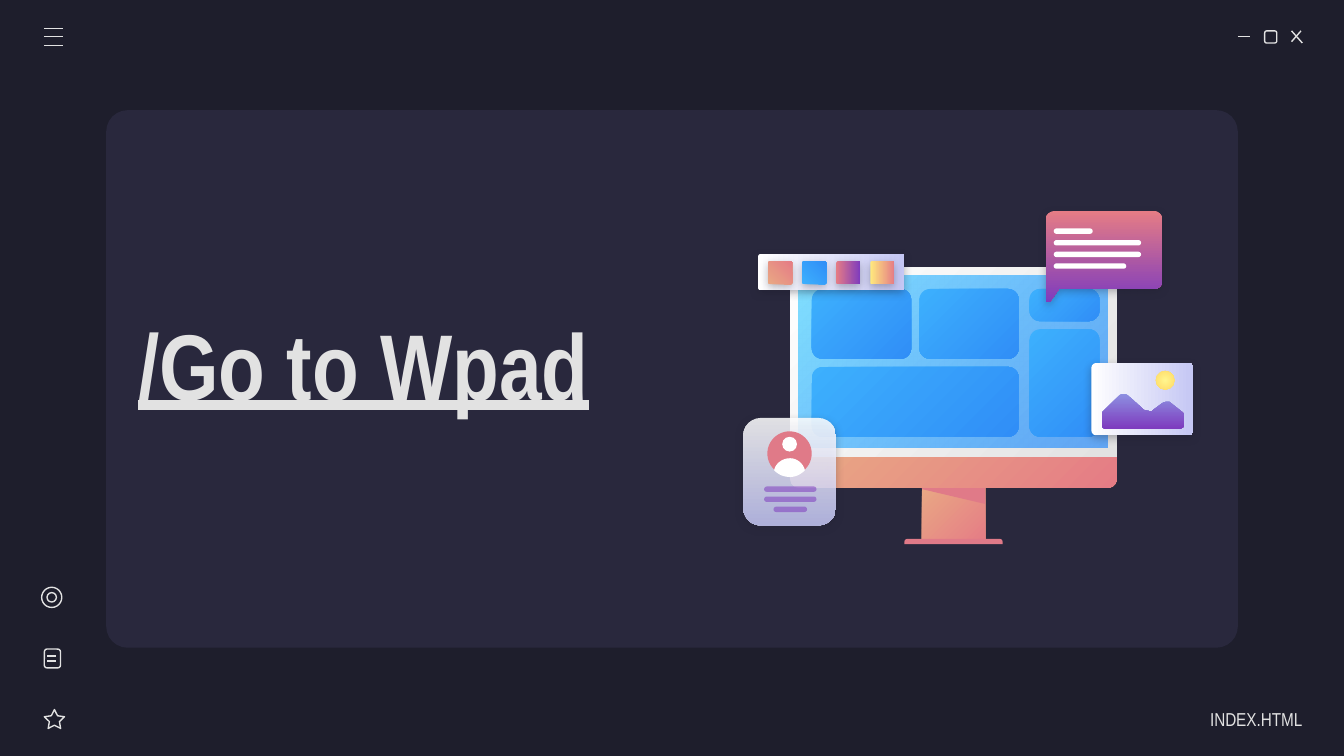
from lxml.etree import SubElement
from pptx import Presentation
from pptx.dml.color import RGBColor
from pptx.enum.shapes import MSO_CONNECTOR, MSO_SHAPE as Kind
from pptx.enum.text import MSO_ANCHOR, PP_ALIGN
from pptx.oxml.ns import qn
from pptx.util import Inches, Pt

# Colours
NIGHT = RGBColor(0x1E, 0x1E, 0x2C)
PANEL = RGBColor(0x29, 0x28, 0x3D)
PALE = RGBColor(0xE2, 0xE2, 0xE2)
WHITE = RGBColor(0xFF, 0xFF, 0xFF)
ROSE = RGBColor(0xE0, 0x7A, 0x88)
PINK = RGBColor(0xE5, 0x7C, 0x85)
PEACH = RGBColor(0xE9, 0xA9, 0x84)
PURPLE = RGBColor(0x7E, 0x3B, 0xBE)
LAVENDER = RGBColor(0xC5, 0xC7, 0xF4)
VIOLET = RGBColor(0x8D, 0x90, 0xE1)
SKY = RGBColor(0x3D, 0xB0, 0xFD)
BLUE = RGBColor(0x30, 0x8E, 0xF7)
AQUA = RGBColor(0x80, 0xDF, 0xFF)
AZURE = RGBColor(0x31, 0x8F, 0xFA)
LEMON = RGBColor(0xFF, 0xF6, 0x8E)
YELLOW = RGBColor(0xFF, 0xEA, 0x7D)
GOLD = RGBColor(0xFF, 0xD9, 0x66)

# Gradients: start, end, clockwise angle (None is radial)
CORAL = (PEACH, PINK, 45)
WATER = (SKY, BLUE, 45)
DUSK = (PINK, PURPLE, 90)
PAPER = (WHITE, LAVENDER, 90)

# Content: text, frame, size, bold and underlined, alignment, right inset
TEXTS = [
    ("/Go to Wpad", (0.93, 1.82, 4.47, 1.76), 50, True, PP_ALIGN.LEFT, 0.1),
    ("INDEX.HTML", (8.52, 5.2, 1.17, 0.3), 10, False, PP_ALIGN.RIGHT, 0),
]

# Frames are left, top, width, height; lines are x1, y1, x2, y2
WINDOW_LINES = [(9.21, 0.27, 9.3, 0.27), (9.61, 0.23, 9.69, 0.32), (9.68, 0.23, 9.61, 0.31)]
MENU_LINES = [(0.33, y, 0.47, y) for y in (0.21, 0.27, 0.34)]
NOTE_LINES = [(0.35, y, 0.42, y) for y in (4.88, 4.92)]
TILES = [(6.04, 2.15, 0.74, 0.52), (6.04, 2.73, 1.54, 0.52), (6.84, 2.15, 0.74, 0.52),
         (7.66, 2.15, 0.52, 0.24), (7.66, 2.45, 0.52, 0.8)]
TILE_RADIUS = 0.08
BUBBLE_BARS = [0.29, 0.65, 0.65, 0.54]
BADGE_BARS = [0.39, 0.39, 0.25]
SWATCHES = [CORAL, WATER, DUSK, (YELLOW, PINK, 90)]
BUBBLE_STEP, BADGE_STEP, SWATCH_STEP = 0.26 / 3, 0.15 / 2, 0.76 / 3

# Outlines: pairs are straight steps, sixes are Bezier curves
STAND = [(6.86, 3.61), (6.86, 4.04), (7.33, 4.04), (7.33, 3.61)]
STAND_SHADE = [(6.86, 3.61), (6.86, 3.64), (7.33, 3.75), (7.33, 3.61)]
BUBBLE = [(7.85, 1.57), (7.81, 1.57, 7.78, 1.6, 7.78, 1.64), (7.78, 2.24),
          (7.78, 2.25, 7.79, 2.25, 7.81, 2.25), (7.88, 2.15), (8.59, 2.15),
          (8.62, 2.15, 8.65, 2.12, 8.65, 2.09), (8.65, 1.64),
          (8.65, 1.6, 8.62, 1.57, 8.59, 1.57)]
TORSO = [(5.88, 3.41), (5.82, 3.41, 5.77, 3.45, 5.76, 3.5),
         (5.79, 3.53, 5.83, 3.55, 5.88, 3.55), (5.92, 3.55, 5.96, 3.53, 5.99, 3.5),
         (5.98, 3.45, 5.93, 3.41, 5.88, 3.41)]
HILLS = [(8.36, 2.93), (8.35, 2.93, 8.34, 2.93, 8.33, 2.94), (8.21, 3.06),
         (8.2, 3.07, 8.2, 3.07, 8.2, 3.08), (8.2, 3.16),
         (8.2, 3.18, 8.21, 3.19, 8.23, 3.19), (8.77, 3.19),
         (8.79, 3.19, 8.81, 3.18, 8.81, 3.16), (8.81, 3.09),
         (8.81, 3.08, 8.8, 3.07, 8.8, 3.07), (8.7, 2.99),
         (8.69, 2.99, 8.66, 2.99, 8.65, 3), (8.57, 3.06),
         (8.56, 3.06, 8.53, 3.06, 8.51, 3.05), (8.39, 2.94),
         (8.38, 2.93, 8.37, 2.93, 8.36, 2.93)]

# Widescreen page, 16 to 9
deck = Presentation()
deck.slide_width = Inches(10)
deck.slide_height = Inches(10 * 9 / 16)
page = deck.slides.add_slide(deck.slide_layouts[6])
page.background.fill.solid()
page.background.fill.fore_color.rgb = NIGHT


def set_alpha(color, percent):
    SubElement(color, qn("a:alpha")).set("val", str(percent * 1000))


def paint(shape, fill, alphas=(), shadow=False):
    """Give a shape its fill, opacity per colour and optional soft shadow."""
    properties = shape._element.spPr
    if fill is None:
        shape.fill.background()
    elif isinstance(fill, RGBColor):
        shape.fill.solid()
        shape.fill.fore_color.rgb = fill
    else:
        *colors, angle = fill
        shape.fill.gradient()
        for stop, color in zip(shape.fill.gradient_stops, colors):
            stop.color.rgb = color
        if angle is None:
            gradient = properties.find(qn("a:gradFill"))
            gradient.remove(gradient.find(qn("a:lin")))
            radial = SubElement(gradient, qn("a:path"))
            radial.set("path", "circle")
            center = SubElement(radial, qn("a:fillToRect"))
            for side in "ltrb":
                center.set(side, "50000")
        else:
            shape.fill.gradient_angle = 360 - angle
    for color, percent in zip(properties.iter(qn("a:srgbClr")), alphas):
        if percent < 100:
            set_alpha(color, percent)
    shape.line.fill.background()
    shape.shadow.inherit = False
    if shadow:
        outer = SubElement(properties.find(qn("a:effectLst")), qn("a:outerShdw"))
        for name, value in (("blurRad", Pt(4.5)), ("dist", Pt(1.5)), ("dir", 5400000)):
            outer.set(name, str(int(value)))
        color = SubElement(outer, qn("a:srgbClr"))
        color.set("val", str(NIGHT))
        set_alpha(color, 30)


def add_preset(kind, frame, fill, adjust=(), turn=0, **effects):
    shape = page.shapes.add_shape(kind, *map(Inches, frame))
    for index, value in enumerate(adjust):
        shape.adjustments[index] = value
    shape.rotation = turn
    paint(shape, fill, **effects)
    return shape


def add_icon(kind, frame, adjust=()):
    line = add_preset(kind, frame, None, adjust).line
    line.color.rgb, line.width = PALE, Pt(0.75)


def add_lines(lines):
    for ends in lines:
        line = page.shapes.add_connector(MSO_CONNECTOR.STRAIGHT, *map(Inches, ends))
        line.line.color.rgb, line.line.width = PALE, Pt(0.75)
        SubElement(line._element.spPr, qn("a:effectLst"))


def add_outline(steps, fill, **effects):
    points = [steps[0]]
    for step in steps[1:]:
        if len(step) == 2:
            points.append(step)
            continue
        curve = (points[-1], step[:2], step[2:4], step[4:])
        for t in (i / 8 for i in range(1, 9)):
            weights = ((1 - t) ** 3, 3 * t * (1 - t) ** 2, 3 * t * t * (1 - t), t ** 3)
            points.append(tuple(sum(w * p[axis] for w, p in zip(weights, curve))
                                for axis in (0, 1)))
    start, *rest = [(Inches(x), Inches(y)) for x, y in points]
    builder = page.shapes.build_freeform(*start)
    builder.add_line_segments(rest, close=True)
    paint(builder.convert_to_shape(), fill, **effects)


def add_text(text, frame, size, strong, align, right):
    box = page.shapes.add_textbox(*map(Inches, frame)).text_frame
    box.word_wrap, box.vertical_anchor = True, MSO_ANCHOR.MIDDLE
    box.margin_left = box.margin_top = box.margin_bottom = Inches(0.1)
    box.margin_right = Inches(right)
    para = box.paragraphs[0]
    para.text, para.alignment = text, align
    font = para.font
    font.name, font.size, font.color.rgb = "Arial Narrow", Pt(size), PALE
    if strong:
        font.bold = font.underline = True


# Panel and window buttons
add_preset(Kind.ROUNDED_RECTANGLE, (0.79, 0.82, 8.42, 4), PANEL, [0.04])
add_icon(Kind.ROUNDED_RECTANGLE, (9.41, 0.23, 0.09, 0.09))
add_lines(WINDOW_LINES + MENU_LINES)

# Monitor
add_outline(STAND, CORAL)
add_preset(Kind.ROUND_2_SAME_RECTANGLE, (6.73, 4.01, 0.73, 0.04), ROSE, [0.5, 0])
add_outline(STAND_SHADE, ROSE)
add_preset(Kind.ROUND_2_SAME_RECTANGLE, (5.88, 3.39, 2.43, 0.24), CORAL, [0, 0.27])
add_preset(Kind.ROUND_2_SAME_RECTANGLE, (5.88, 1.99, 2.43, 1.41), (WHITE, PALE, 45), [0.05, 0])
add_preset(Kind.RECTANGLE, (5.94, 2.05, 2.3, 1.28), (AQUA, AZURE, 45), alphas=(100, 72))
for tile in TILES:
    add_preset(Kind.ROUNDED_RECTANGLE, tile, WATER, [TILE_RADIUS / min(tile[2:])])

# Speech bubble
add_outline(BUBBLE, DUSK, shadow=True)
for row, width in enumerate(BUBBLE_BARS):
    add_preset(Kind.ROUNDED_RECTANGLE, (7.84, 1.7 + row * BUBBLE_STEP, width, 0.04), WHITE, [0.5])

# Profile badge
add_preset(Kind.ROUNDED_RECTANGLE, (5.53, 3.11, 0.69, 0.8), PAPER, [0.19],
           alphas=(86, 86), shadow=True)
add_preset(Kind.OVAL, (5.71, 3.21, 0.33, 0.33), ROSE)
add_preset(Kind.OVAL, (5.82, 3.25, 0.11, 0.11), WHITE)
add_outline(TORSO, WHITE)
for row, width in enumerate(BADGE_BARS):
    add_preset(Kind.ROUNDED_RECTANGLE, (5.88 - width / 2, 3.62 + row * BADGE_STEP, width, 0.04),
               PURPLE, [0.5], alphas=(54,))

# Photo card
add_preset(Kind.ROUNDED_RECTANGLE, (8.23, 2.59, 0.54, 0.76), PAPER, [0.07], 270, shadow=True)
add_outline(HILLS, (VIOLET, PURPLE, 90))
add_preset(Kind.OVAL, (8.6, 2.76, 0.14, 0.14), (LEMON, GOLD, None))

# Colour palette
add_preset(Kind.ROUNDED_RECTANGLE, (6.05, 1.48, 0.27, 1.09), PAPER, [0.07], 270, shadow=True)
for column, swatch in enumerate(SWATCHES):
    add_preset(Kind.ROUNDED_RECTANGLE, (5.72 + column * SWATCH_STEP, 1.94, 0.17, 0.18), swatch,
               [0.07], 270, shadow=True)

# Side icons
add_icon(Kind.STAR_5_POINT, (0.33, 5.28, 0.15, 0.14), [0.25, 1.05, 1.11])
add_icon(Kind.ROUNDED_RECTANGLE, (0.33, 4.83, 0.12, 0.14))
add_lines(NOTE_LINES)
add_icon(Kind.OVAL, (0.31, 4.37, 0.15, 0.15))
add_icon(Kind.OVAL, (0.35, 4.41, 0.07, 0.07))

# Title and file name
for entry in TEXTS:
    add_text(*entry)

deck.save("out.pptx")
